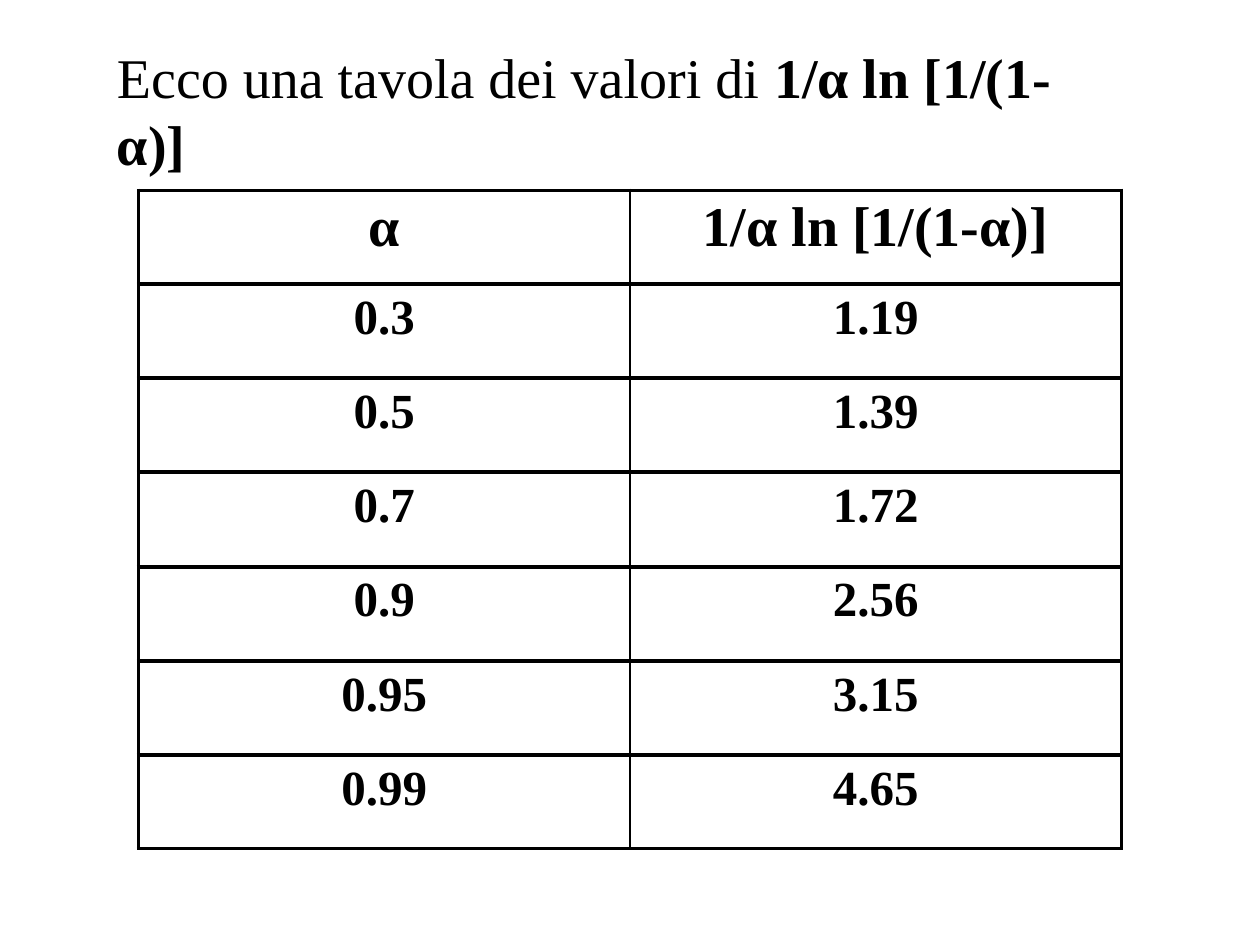
from typing import NamedTuple

from lxml.etree import SubElement
from pptx import Presentation
from pptx.dml.color import RGBColor
from pptx.enum.text import MSO_AUTO_SIZE as AutoSize, PP_ALIGN as Align
from pptx.oxml.ns import qn
from pptx.util import Pt

BLACK = RGBColor(0, 0, 0)
FONT = "Times New Roman"
FORMULA = "1/α ln [1/(1-α)]"
TABLE_LEFT, TABLE_TOP = 79.2, 108.72
TABLE_WIDTH, ROW_HEIGHT, ROW_STEP = 561.6, 53.5, 53.8
THICK, THIN = 2.25, 1


class ValueRow(NamedTuple):
    alpha: str
    value: str
    size: int = 28


VALUE_ROWS = [
    ValueRow("α", FORMULA, 32),
    ValueRow("0.3", "1.19"),
    ValueRow("0.5", "1.39"),
    ValueRow("0.7", "1.72"),
    ValueRow("0.9", "2.56"),
    ValueRow("0.95", "3.15"),
    ValueRow("0.99", "4.65"),
]


def add_run(paragraph, text: str, size: int, bold: bool) -> None:
    run = paragraph.add_run()
    run.text = text
    run.font.name = FONT
    run.font.size = Pt(size)
    run.font.bold = bold
    run.font.color.rgb = BLACK


def set_borders(cell, left: float, right: float) -> None:
    properties = cell._tc.get_or_add_tcPr()
    widths = {"a:lnL": left, "a:lnR": right, "a:lnT": THICK, "a:lnB": THICK}
    for tag, width in widths.items():
        line = SubElement(properties, qn(tag), w=str(Pt(width)))
        fill = SubElement(line, qn("a:solidFill"))
        SubElement(fill, qn("a:srgbClr"), val=str(BLACK))


def add_value_row(slide, row: ValueRow, top: float) -> None:
    table = slide.shapes.add_table(
        1, 2, Pt(TABLE_LEFT), Pt(top), Pt(TABLE_WIDTH), Pt(ROW_HEIGHT)
    ).table
    table.first_row = False
    table.horz_banding = False
    borders = [(THICK, THIN), (THIN, THICK)]
    for cell, text, (left, right) in zip(table.iter_cells(), row[:2], borders):
        set_borders(cell, left, right)
        cell.fill.background()
        paragraph = cell.text_frame.paragraphs[0]
        paragraph.alignment = Align.CENTER
        add_run(paragraph, text, row.size, True)


def add_title(slide) -> None:
    title = slide.shapes.add_textbox(Pt(59.76), Pt(20.88), Pt(586.8), Pt(46.08))
    frame = title.text_frame
    frame.word_wrap = True
    frame.auto_size = AutoSize.SHAPE_TO_FIT_TEXT
    paragraph = frame.paragraphs[0]
    add_run(paragraph, "Ecco una tavola dei valori di ", 32, False)
    add_run(paragraph, FORMULA, 32, True)


presentation = Presentation()
presentation.slide_width, presentation.slide_height = Pt(720), Pt(540)
slide = presentation.slides.add_slide(presentation.slide_layouts[6])
add_title(slide)
for index, row in enumerate(VALUE_ROWS):
    add_value_row(slide, row, TABLE_TOP + index * ROW_STEP)
presentation.save("out.pptx")
